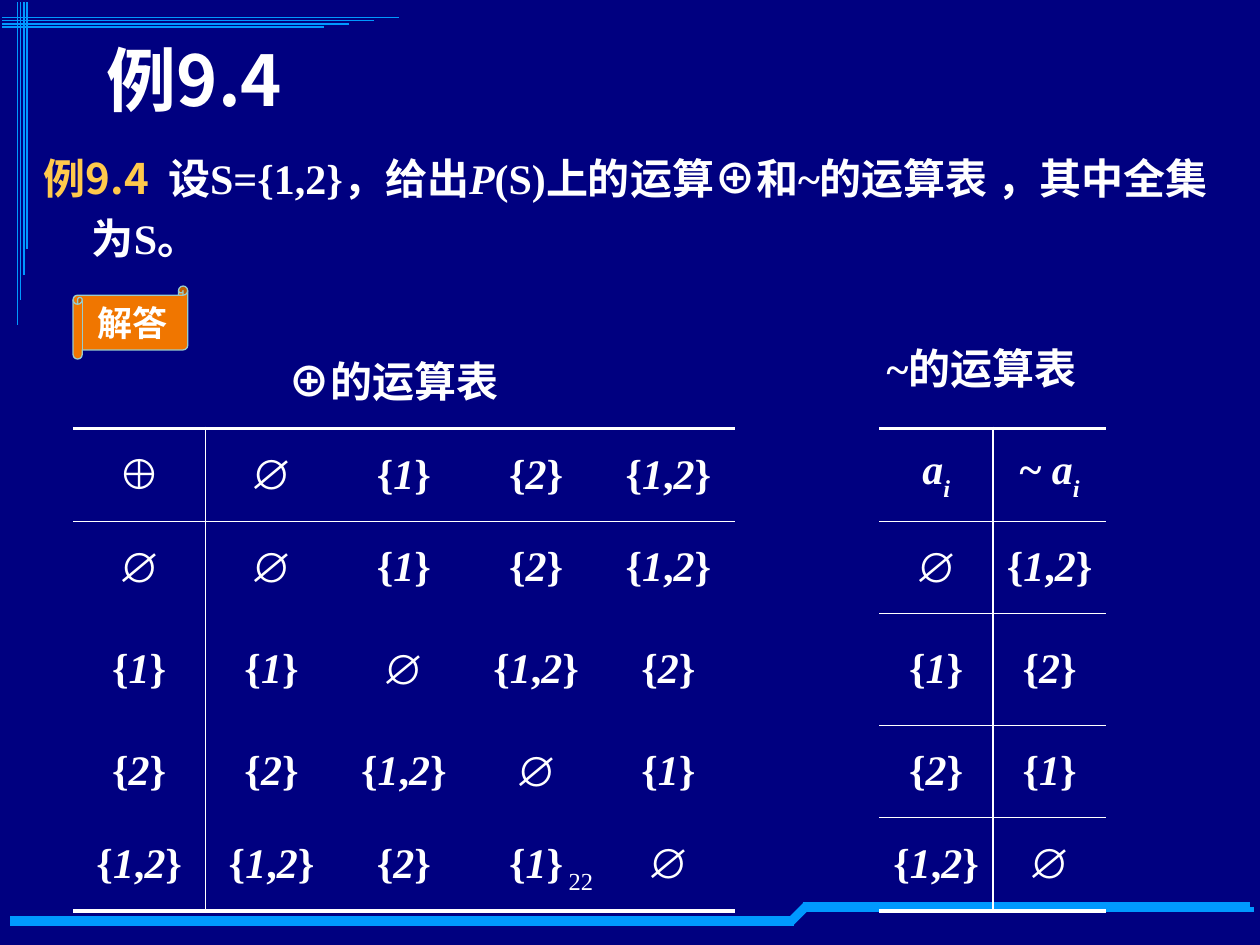
from dataclasses import dataclass
from itertools import groupby
from lxml.etree import SubElement
from pptx import Presentation
from pptx.dml.color import RGBColor
from pptx.enum.shapes import MSO_CONNECTOR, MSO_SHAPE
from pptx.enum.text import MSO_ANCHOR, PP_ALIGN
from pptx.oxml.ns import qn
from pptx.util import Inches, Pt


@dataclass(frozen=True)
class Theme:
    back: str = "000080"
    text: str = "FFFFFF"
    gold: str = "FFC94C"
    blue: str = "0099FF"
    fill: str = "F07600"
    edge: str = "99CCCC"
    shade: str = "000000"
    serif: str = "Times New Roman"
    sans: str = "Arial"
    han: str = "Noto Sans CJK SC"
    title: int = 40
    body: int = 24
    label: int = 20
    page: int = 14


T = Theme()


def rgb(code):
    return RGBColor.from_string(code)


def add_run(para, text, face=T.serif, size=T.body, color=T.text,
            bold=True, slant=False, han=True):
    run = para.add_run()
    run.text = text
    font = run.font
    font.size, font.bold, font.italic = Pt(size), bold, slant
    font.color.rgb = rgb(color)
    font.name = face
    if han:
        SubElement(font._element, qn("a:ea"), typeface=T.han)
    return run


def add_box(slide, x, y, w, h, align=PP_ALIGN.LEFT, anchor=MSO_ANCHOR.TOP):
    frame = slide.shapes.add_textbox(
        Inches(x), Inches(y), Inches(w), Inches(h)).text_frame
    frame.word_wrap = True
    frame.vertical_anchor = anchor
    para = frame.paragraphs[0]
    para.alignment = align
    return para


def add_line(slide, start, end, width):
    line = slide.shapes.add_connector(
        MSO_CONNECTOR.STRAIGHT, *[Inches(v) for v in (*start, *end)])
    line.line.color.rgb = rgb(T.blue)
    line.line.width = Pt(width)
    SubElement(line._element.spPr, qn("a:effectLst"))


def add_corner(slide, x, y):
    for i in range(4):
        gap, cut = 0.12 + 0.025 * i, 0.2 * i
        add_line(slide, (x, y + gap), (x + 3.15 - cut, y + gap), 0.75)
        add_line(slide, (x + gap, y), (x + gap, y + 2.56 - cut), 0.75)


def add_foot(slide, x, y, w):
    for i in range(2):
        top = y + 0.04 * i
        low = top + 0.11
        add_line(slide, (x, low), (x + 6.22, low), 3)
        add_line(slide, (x + 6.2, low), (x + 6.31, top), 3)
        add_line(slide, (x + 6.29, top), (x + w + 0.03 * i, top), 3)


def add_title(slide, x, y, w, h):
    para = add_box(slide, x, y, w, h, anchor=MSO_ANCHOR.MIDDLE)
    run = add_run(para, "例9.4", T.han, T.title)
    glow = SubElement(run.font._element, qn("a:effectLst"))
    drop = SubElement(glow, qn("a:outerShdw"), dist="35921", dir="2700000")
    SubElement(drop, qn("a:srgbClr"), val=T.shade)
    run.font._element.find(qn("a:solidFill")).addnext(glow)


def add_body(slide, x, y, w, h):
    para = add_box(slide, x, y, w, h)
    props = para._p.get_or_add_pPr()
    props.set("marL", str(Inches(0.38)))
    props.set("indent", str(-Inches(0.38)))
    para.line_spacing = 1.2
    add_run(para, "例9.4", T.han, color=T.gold)
    space = add_run(para, " ", T.han, color=T.gold)
    space.font._element.set("spc", "540")
    add_run(para, "设S={1,2}，给出")
    add_run(para, "P", slant=True)
    add_run(para, "(S)上的运算")
    add_run(para, "⊕", T.sans)
    add_run(para, "和~的运算表 ，其中全集为S。")


def add_scroll(slide, x, y, w, h):
    tag = slide.shapes.add_shape(MSO_SHAPE.HORIZONTAL_SCROLL, Inches(x),
                                 Inches(y), Inches(w), Inches(h))
    tag.shadow.inherit = False
    tag.fill.solid()
    tag.fill.fore_color.rgb = rgb(T.fill)
    tag.line.color.rgb = rgb(T.edge)
    tag.line.width = Pt(0.75)
    frame = tag.text_frame
    frame.word_wrap = False
    frame.vertical_anchor = MSO_ANCHOR.MIDDLE
    para = frame.paragraphs[0]
    para.alignment = PP_ALIGN.CENTER
    add_run(para, "解答", T.sans, T.label)


def add_label(slide, x, y, w, h, parts):
    para = add_box(slide, x, y, w, h, PP_ALIGN.CENTER)
    for text, face in parts:
        add_run(para, text, face)


def kind(char):
    if char in "∅⊕":
        return "sign"
    if char == "i":
        return "sub"
    return "slant" if char.isalnum() else "plain"


def fill_cell(cell, text):
    cell.vertical_anchor = MSO_ANCHOR.MIDDLE
    cell.margin_left = cell.margin_right = Inches(0.05)
    para = cell.text_frame.paragraphs[0]
    para.alignment = PP_ALIGN.CENTER
    for style, chars in groupby(text, kind):
        face = T.sans if style == "sign" else T.serif
        run = add_run(para, "".join(chars), face,
                      slant=style in ("slant", "sub"), han=False)
        if style == "sub":
            run.font._element.set("baseline", "-30000")


def set_edges(cell, **edges):
    props = cell._tc.get_or_add_tcPr()
    for side in "LRTB":
        width = edges.get(side, 0)
        line = SubElement(props, qn("a:ln" + side), w=str(Pt(width)))
        if width:
            paint = SubElement(line, qn("a:solidFill"))
            SubElement(paint, qn("a:srgbClr"), val=T.text)
        else:
            SubElement(line, qn("a:noFill"))
    cell.fill.background()


def add_grid(slide, x, y, w, highs, rows, ruled):
    count, last = len(rows[0]), len(rows) - 1
    grid = slide.shapes.add_table(len(rows), count, Inches(x), Inches(y),
                                  Inches(w), Inches(sum(highs))).table
    grid.first_row = grid.horz_banding = False
    for col in grid.columns:
        col.width = Inches(w / count)
    for r, (row, high) in enumerate(zip(rows, highs)):
        grid.rows[r].height = Inches(high)
        top = 2.25 if r == 0 else int(ruled or r == 1)
        low = 2.25 if r == last else int(ruled or r == 0)
        for c, text in enumerate(row):
            cell = grid.cell(r, c)
            set_edges(cell, L=int(c == 1), R=int(c == 0), T=top, B=low)
            fill_cell(cell, text)


def main():
    deck = Presentation()
    deck.slide_width, deck.slide_height = Inches(10), Inches(7.5)
    slide = deck.slides.add_slide(deck.slide_layouts[6])
    slide.background.fill.solid()
    slide.background.fill.fore_color.rgb = rgb(T.back)

    none, one, two, both = "∅", "{1}", "{2}", "{1,2}"
    sums = [["⊕", none, one, two, both],
            [none, none, one, two, both],
            [one, one, none, both, two],
            [two, two, both, none, one],
            [both, both, two, one, none]]
    pairs = [["ai", "~ ai"], [none, both], [one, two], [two, one],
             [both, none]]
    highs = [0.74, 0.73, 0.89, 0.73, 0.74]

    add_foot(slide, 0.08, 7.18, 9.84)
    add_corner(slide, 0.02, 0.02)
    page = add_box(slide, 4.31, 6.82, 0.6, 0.52, PP_ALIGN.CENTER)
    add_run(page, "22", size=T.page, bold=False)
    add_body(slide, 0.25, 1.08, 9.58, 1.17)
    add_label(slide, 1.54, 2.77, 3.17, 0.5,
              [("⊕", T.sans), ("的运算表", T.serif)])
    add_grid(slide, 0.58, 3.4, 5.25, highs, sums, False)
    add_label(slide, 6.08, 2.67, 3.42, 0.5, [("~的运算表", T.serif)])
    add_grid(slide, 6.98, 3.4, 1.8, highs, pairs, True)
    add_scroll(slide, 0.58, 2.27, 0.91, 0.58)
    add_title(slide, 0.75, 0.21, 9, 0.83)
    deck.save("out.pptx")


if __name__ == "__main__":
    main()
